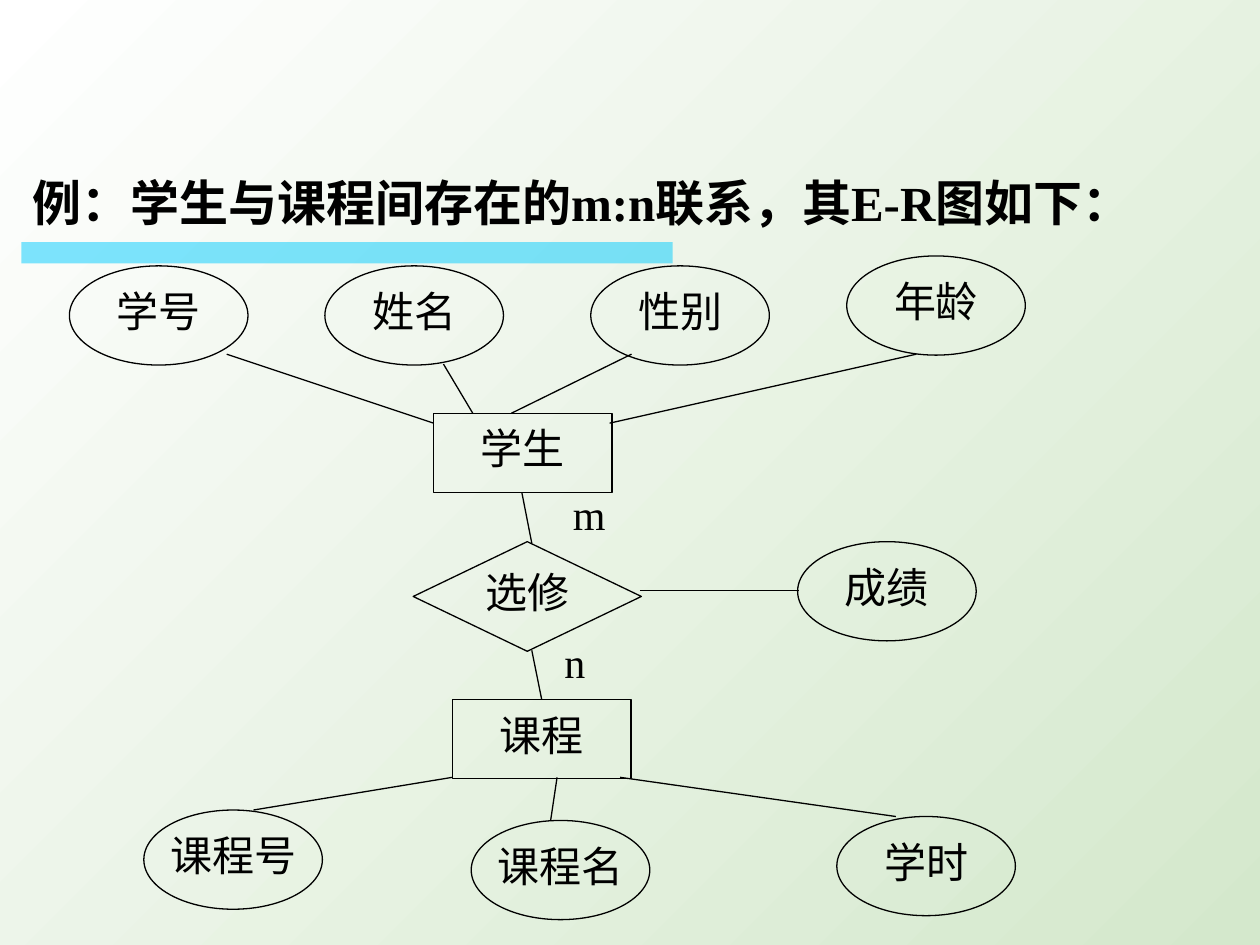
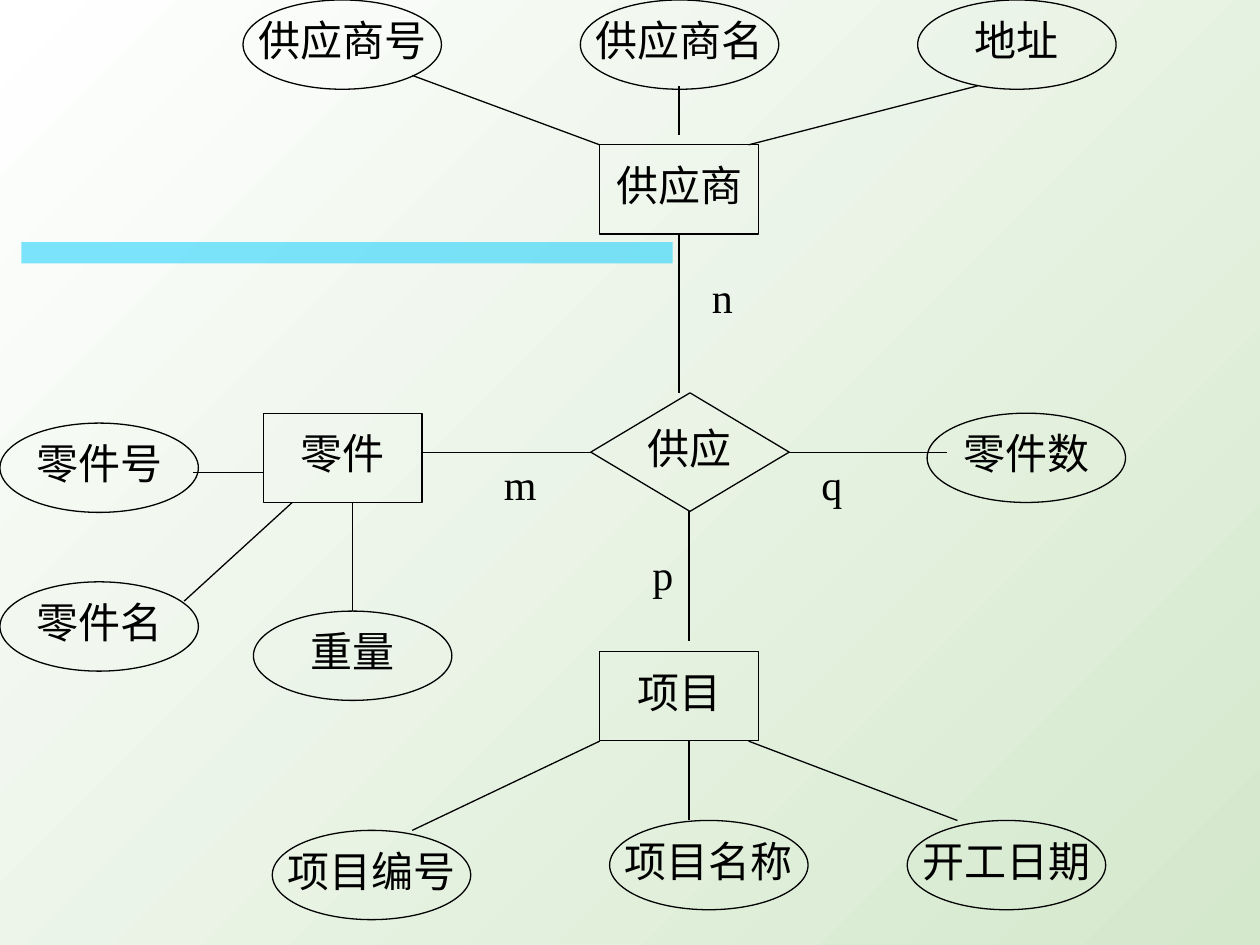
from pptx import Presentation
from pptx.dml.color import RGBColor
from pptx.enum.shapes import MSO_CONNECTOR as Connector, MSO_SHAPE as Shape
from pptx.enum.text import MSO_ANCHOR as Anchor, MSO_AUTO_SIZE as AutoSize, PP_ALIGN as Align
from pptx.oxml.ns import qn
from pptx.util import Cm, Pt
from lxml import etree

# Shared look
COLORS = {"ink": "000000", "band": "00CCFF", "light": "FFFFFF", "green": "D4E8CC"}
FONT = "Times New Roman"
BAND = (0.43, 4.88, 13.13, 0.43)
TITLE_BOX = (0.41, 3.58, 23.6, 1.19)
TITLE_LAYOUT, BLANK_LAYOUT = 5, 6
LABEL_HEIGHT = 1.07
KINDS = {"entity": Shape.RECTANGLE, "relation": Shape.DIAMOND, "attribute": Shape.OVAL}

# Diagrams: sizes per kind, nodes by left and top, lines by their two ends (cm)
DIAGRAMS = [
    {
        "title": "例：学生与课程间存在的m:n联系，其E-R图如下：",
        "sizes": {"entity": (3.6, 1.6), "relation": (4.6, 2.21), "attribute": (3.6, 2)},
        "entity": [("学生", 8.74, 8.33), ("课程", 9.12, 14.1)],
        "relation": [("选修", 8.33, 10.92)],
        "attribute": [
            ("学号", 1.4, 5.36), ("姓名", 6.55, 5.36),
            ("性别", 11.91, 5.36), ("年龄", 17.07, 5.16),
            ("成绩", 16.08, 10.92),
            ("课程号", 2.9, 16.33), ("课程名", 9.5, 16.54), ("学时", 16.87, 16.46),
        ],
        "lines": [
            (4.57, 7.14, 8.74, 8.53), (8.94, 7.34, 9.53, 8.33),
            (12.73, 7.14, 10.31, 8.33), (18.47, 7.14, 12.29, 8.53),
            (10.52, 9.93, 10.72, 10.95), (10.72, 13.11, 10.92, 14.1),
            (12.9, 11.91, 16.1, 11.91),
            (9.12, 15.67, 5.11, 16.33), (11.23, 15.67, 11.1, 16.54),
            (12.5, 15.67, 18.06, 16.46),
        ],
        "label_width": 1.6,
        "labels": [("m", 11.3, 9.93), ("n", 11.13, 12.9)],
    },
    {
        "title": None,
        "sizes": {"entity": (3.2, 1.8), "relation": (4, 2.39), "attribute": (4, 1.8)},
        "entity": [("供应商", 12.09, 2.92), ("零件", 5.31, 8.33), ("项目", 12.09, 13.13)],
        "relation": [("供应", 11.91, 7.92)],
        "attribute": [
            ("供应商号", 4.9, 0), ("供应商名", 11.7, 0), ("地址", 18.5, 0),
            ("零件数", 18.69, 8.33),
            ("零件号", 0, 8.53), ("零件名", 0, 11.73), ("重量", 5.11, 12.32),
            ("项目编号", 5.49, 16.74), ("项目名称", 12.29, 16.54), ("开工日期", 18.29, 16.54),
        ],
        "lines": [
            (13.69, 1.73, 13.69, 2.72), (8.31, 1.52, 12.09, 2.92),
            (19.71, 1.73, 15.09, 2.92),
            (13.69, 4.72, 13.69, 7.92), (13.89, 10.31, 13.89, 12.93),
            (8.51, 9.12, 11.91, 9.12), (15.9, 9.12, 19.1, 9.12),
            (3.89, 9.53, 5.31, 9.53), (3.71, 12.12, 5.89, 10.13),
            (7.11, 10.13, 7.11, 12.32),
            (12.09, 14.94, 8.31, 16.74), (13.89, 14.94, 13.89, 16.54),
            (15.09, 14.94, 19.3, 16.54),
        ],
        "label_width": 1.4,
        "labels": [("n", 14.1, 5.54), ("m", 9.91, 9.32), ("q", 16.31, 9.32), ("p", 12.9, 11.13)],
    },
]


def rgb(name):
    return RGBColor.from_string(COLORS[name])


def cm(values):
    return [Cm(value) for value in values]


def write(shape, text, size=24, bold=False, align=Align.LEFT, anchor=Anchor.TOP, wrap=True):
    frame = shape.text_frame
    frame.text = text
    frame.auto_size = AutoSize.NONE
    frame.word_wrap = wrap
    frame.vertical_anchor = anchor
    para = frame.paragraphs[0]
    para.alignment = align
    para.line_spacing = 0.8
    para.space_before = Pt(0)
    font = para.runs[0].font
    font.name, font.size, font.bold = FONT, Pt(size), bold
    font.color.rgb = rgb("ink")


def outline(line):
    line.color.rgb = rgb("ink")
    line.width = Pt(0.75)


def paint_background(master):
    fill = master.background.fill
    fill.gradient()
    fill.gradient_angle = 315
    for stop, name in zip(fill.gradient_stops, ("light", "green")):
        stop.color.rgb = rgb(name)


def add_band(page):
    band = page.shapes.add_shape(Shape.RECTANGLE, *cm(BAND))
    band.shadow.inherit = False
    band.line.fill.background()
    band.fill.solid()
    band.fill.fore_color.rgb = rgb("band")
    # Half transparent
    color = next(band.fill._xPr.iter(qn("a:srgbClr")))
    etree.SubElement(color, qn("a:alpha")).set("val", "50000")


def add_title(page, text):
    title = page.shapes.title
    title.left, title.top, title.width, title.height = cm(TITLE_BOX)
    write(title, text, size=28, bold=True)


def add_node(page, kind, text, place, size):
    node = page.shapes.add_shape(KINDS[kind], *cm(place + size))
    node.shadow.inherit = False
    node.fill.background()
    outline(node.line)
    write(node, text, align=Align.CENTER, anchor=Anchor.MIDDLE, wrap=False)


def add_line(page, ends):
    line = page.shapes.add_connector(Connector.STRAIGHT, *cm(ends))
    outline(line.line)
    etree.SubElement(line._element.spPr, qn("a:effectLst"))


def add_diagram(deck, diagram):
    layout = TITLE_LAYOUT if diagram["title"] else BLANK_LAYOUT
    page = deck.slides.add_slide(deck.slide_layouts[layout])
    add_band(page)
    if diagram["title"]:
        add_title(page, diagram["title"])
    for kind in KINDS:
        for text, *place in diagram[kind]:
            add_node(page, kind, text, tuple(place), diagram["sizes"][kind])
    for ends in diagram["lines"]:
        add_line(page, ends)
    for text, left, top in diagram["labels"]:
        box = page.shapes.add_textbox(*cm((left, top, diagram["label_width"], LABEL_HEIGHT)))
        write(box, text)


def main():
    deck = Presentation()
    deck.slide_width, deck.slide_height = Cm(25.4), Cm(19.05)
    paint_background(deck.slide_master)
    for diagram in DIAGRAMS:
        add_diagram(deck, diagram)
    deck.save("out.pptx")


if __name__ == "__main__":
    main()
